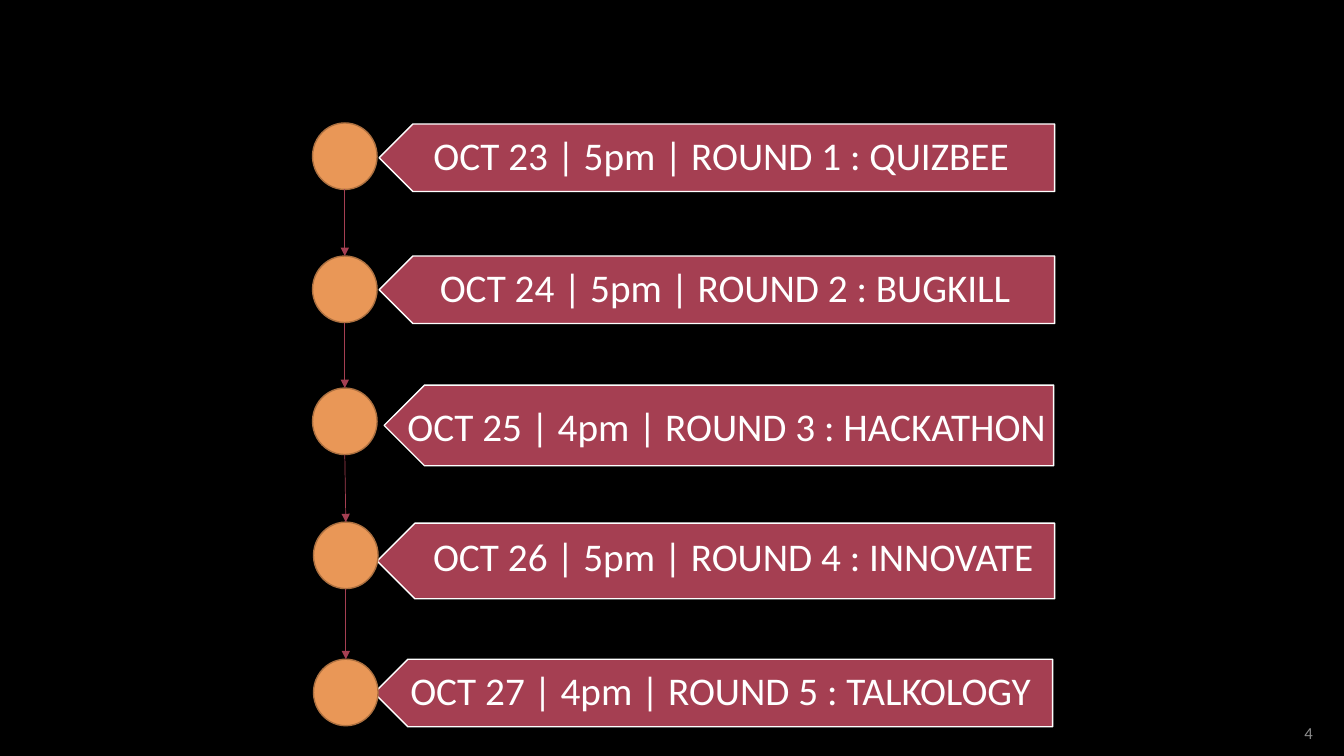
from itertools import pairwise

from lxml.etree import SubElement
from pptx import Presentation
from pptx.dml.color import RGBColor
from pptx.enum.shapes import MSO_CONNECTOR, MSO_SHAPE
from pptx.enum.text import MSO_ANCHOR, PP_ALIGN
from pptx.oxml.ns import qn
from pptx.util import Inches, Pt

BLACK = RGBColor(0x00, 0x00, 0x00)
WHITE = RGBColor(0xFF, 0xFF, 0xFF)
GREY = RGBColor(0x8C, 0x8C, 0x8C)
CRIMSON = RGBColor(0xA5, 0x3F, 0x52)
ORANGE = RGBColor(0xE9, 0x97, 0x57)
BROWN = RGBColor(0xAC, 0x70, 0x40)

DOT_WIDTH, DOT_HEIGHT = 0.64, 0.66
LABEL_INSETS = (0.3, 0.12, 0.22, 0.12)
PAGE_NUMBER = "4"

ROUNDS = [
    {"text": "OCT 23 | 5pm | ROUND 1 : QUIZBEE", "dot": (3.1, 1.22),
     "banner": (3.76, 1.23, 6.7, 0.67), "label": (3.27, 1.23, 7.68, 0.67)},
    {"text": "OCT 24 | 5pm | ROUND 2 : BUGKILL", "dot": (3.1, 2.54),
     "banner": (3.76, 2.54, 6.7, 0.67), "label": (3.31, 2.54, 7.68, 0.67)},
    {"text": "OCT 25 | 4pm | ROUND 3 : HACKATHON", "dot": (3.1, 3.85),
     "banner": (3.81, 3.82, 6.64, 0.8), "label": (3.21, 3.85, 7.91, 0.8)},
    {"text": "OCT 26 | 5pm | ROUND 4 : INNOVATE", "dot": (3.11, 5.18),
     "banner": (3.74, 5.19, 6.72, 0.75), "label": (3.74, 5.17, 6.98, 0.75)},
    {"text": "OCT 27 | 4pm | ROUND 5 : TALKOLOGY", "dot": (3.11, 6.54),
     "banner": (3.71, 6.54, 6.73, 0.67), "label": (3.74, 6.54, 6.73, 0.67)},
]


def add_outlined(slide, kind, box, fill, outline):
    shape = slide.shapes.add_shape(kind, *map(Inches, box))
    shape.shadow.inherit = False
    shape.fill.solid()
    shape.fill.fore_color.rgb = fill
    shape.line.color.rgb = outline
    shape.line.width = Pt(1)
    return shape


def add_text(slide, text, box, size, color, align, insets=(0.1, 0.05, 0.1, 0.05)):
    frame = slide.shapes.add_textbox(*map(Inches, box)).text_frame
    frame.word_wrap = True
    frame.vertical_anchor = MSO_ANCHOR.MIDDLE
    (frame.margin_left, frame.margin_top,
     frame.margin_right, frame.margin_bottom) = map(Inches, insets)
    paragraph = frame.paragraphs[0]
    paragraph.text = text
    paragraph.alignment = align
    paragraph.font.name = "Calibri"
    paragraph.font.size = Pt(size)
    paragraph.font.color.rgb = color
    return paragraph


def add_arrow(slide, start, end):
    arrow = slide.shapes.add_connector(
        MSO_CONNECTOR.STRAIGHT, *map(Inches, start + end))
    arrow.line.color.rgb = CRIMSON
    arrow.line.width = Pt(0.5)
    SubElement(arrow.line._get_or_add_ln(), qn("a:tailEnd"), type="triangle")
    SubElement(arrow._element.spPr, qn("a:effectLst"))


def main():
    deck = Presentation()
    deck.slide_width, deck.slide_height = Inches(13.33), Inches(7.5)
    slide = deck.slides.add_slide(deck.slide_layouts[6])
    slide.background.fill.solid()
    slide.background.fill.fore_color.rgb = BLACK

    add_text(slide, PAGE_NUMBER, (12.63, 7.07, 0.49, 0.4), 12, GREY, PP_ALIGN.RIGHT)

    for entry in ROUNDS:
        banner = add_outlined(slide, MSO_SHAPE.PENTAGON, entry["banner"], CRIMSON, WHITE)
        banner.rotation = 180
        label = add_text(slide, entry["text"], entry["label"], 28, WHITE,
                         PP_ALIGN.CENTER, LABEL_INSETS)
        label.line_spacing = 0.9

    dots = [entry["dot"] for entry in ROUNDS]
    for left, top in dots:
        add_outlined(slide, MSO_SHAPE.OVAL, (left, top, DOT_WIDTH, DOT_HEIGHT),
                     ORANGE, BROWN)
    for (left, top), (next_left, next_top) in pairwise(dots):
        add_arrow(slide, (left + DOT_WIDTH / 2, top + DOT_HEIGHT),
                  (next_left + DOT_WIDTH / 2, next_top))

    deck.save("out.pptx")


if __name__ == "__main__":
    main()
